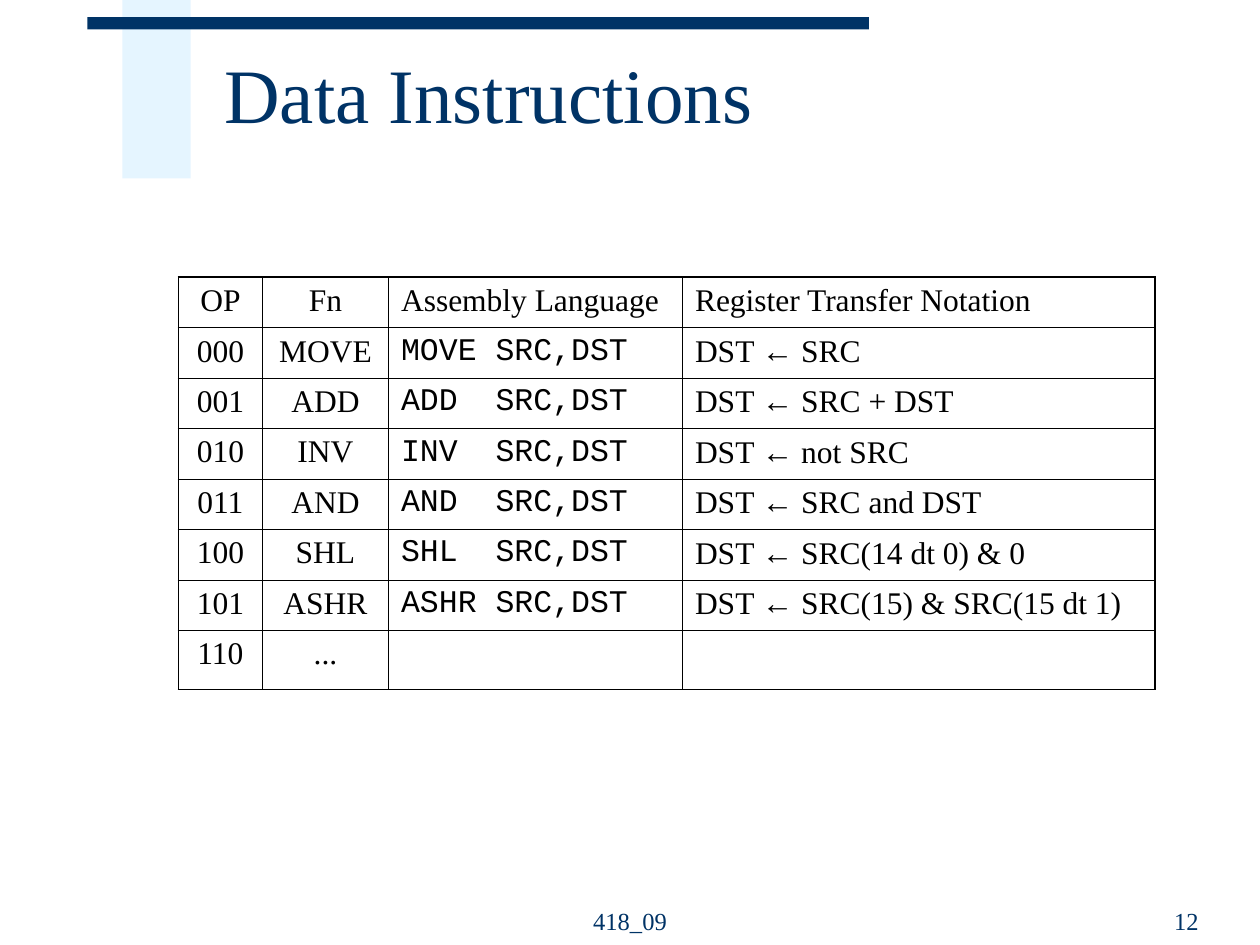
"""Build the Data Instructions slide with its table of opcodes."""
from lxml.etree import SubElement as Sub
from pptx import Presentation as Deck
from pptx.dml.color import RGBColor as RGB
from pptx.enum.shapes import MSO_SHAPE as Kind
from pptx.enum.text import MSO_ANCHOR as Anchor, MSO_AUTO_SIZE as Fit, PP_ALIGN as Align
from pptx.oxml.ns import qn
from pptx.util import Pt

HUES = {"navy": "003366", "sky": "CCECFF", "ink": "000000"}
SERIF, SANS, MONO = "Times New Roman", "Arial", "Courier New"
ARROW = "←"
HEAD = ("OP", "Fn", "Assembly Language", "Register Transfer Notation")
CODES = [
    ("000", "MOVE", "SRC"),
    ("001", "ADD", "SRC + DST"),
    ("010", "INV", "not SRC"),
    ("011", "AND", "SRC and DST"),
    ("100", "SHL", "SRC(14 dt 0) & 0"),
    ("101", "ASHR", "SRC(15) & SRC(15 dt 1)"),
]
WIDTHS = (48, 72, 168, 270)
ROW, LAST = 28.8, 33.7
THIN, THICK = 0.45, 1.08


class Page:
    """Hold the style and the slide being drawn."""

    def __init__(self, deck):
        self.slide = deck.slides.add_slide(deck.slide_layouts[5])
        self.shapes = self.slide.shapes

    def style(self, para, size, hue, align=Align.LEFT, face=SERIF):
        para.alignment = align
        for run in para.runs:
            font = run.font
            font.name = SANS if run.text == ARROW else face
            font.size = Pt(size)
            font.color.rgb = RGB.from_string(HUES[hue])

    def bar(self, hue, box, alpha=None):
        shape = self.shapes.add_shape(Kind.RECTANGLE, *map(Pt, box))
        shape.shadow.inherit = False
        shape.fill.solid()
        shape.fill.fore_color.rgb = RGB.from_string(HUES[hue])
        shape.line.fill.background()
        if alpha:
            tint = shape.fill._xPr.find(".//" + qn("a:srgbClr"))
            Sub(tint, qn("a:alpha"), val=str(alpha * 1000))

    def title(self, text, box):
        shape = self.shapes.title
        shape.left, shape.top, shape.width, shape.height = map(Pt, box)
        frame = shape.text_frame
        frame.text = text
        frame.auto_size = Fit.NONE
        frame.vertical_anchor = Anchor.MIDDLE
        para = frame.paragraphs[0]
        para.line_spacing = 0.85
        self.style(para, 44, "navy")
        self.shapes._spTree.append(shape._element)

    def note(self, text, box, align):
        frame = self.shapes.add_textbox(*map(Pt, box)).text_frame
        frame.word_wrap = True
        frame.vertical_anchor = Anchor.BOTTOM
        frame.text = text
        self.style(frame.paragraphs[0], 14, "navy", align)

    def edge(self, cell, sides):
        props = cell._tc.get_or_add_tcPr()
        for side, width in sides.items():
            line = Sub(props, qn("a:ln" + side), w=str(Pt(width)))
            fill = Sub(line, qn("a:solidFill"))
            Sub(fill, qn("a:srgbClr"), val=HUES["ink"])

    def cell(self, cell, text, align, face):
        para = cell.text_frame.paragraphs[0]
        left, mark, right = text.partition(ARROW)
        for part in filter(None, (left, mark, right)):
            para.add_run().text = part
        self.style(para, 18, "ink", align, face)

    def table(self, rows, left, top):
        tall = ROW * (len(rows) - 1) + LAST
        box = map(Pt, (left, top, sum(WIDTHS), tall))
        grid = self.shapes.add_table(len(rows), len(WIDTHS), *box).table
        grid.first_row = grid.horz_banding = False
        for col, width in zip(grid.columns, WIDTHS):
            col.width = Pt(width)
        for r, row in enumerate(rows):
            grid.rows[r].height = Pt(LAST if r == len(rows) - 1 else ROW)
            for c, text in enumerate(row):
                cell = grid.cell(r, c)
                self.edge(cell, {
                    "L": THIN if c else THICK,
                    "R": THICK if c == len(row) - 1 else THIN,
                    "T": THIN if r else THICK,
                    "B": THIN,
                })
                cell.fill.background()
                align = Align.CENTER if c < 2 else Align.LEFT
                self.cell(cell, text, align, MONO if r and c == 2 else SERIF)


def main():
    deck = Deck()
    deck.slide_width, deck.slide_height = Pt(720), Pt(540)
    page = Page(deck)
    page.bar("sky", (70, 0, 39, 102), 50)
    page.bar("navy", (50, 9.75, 446.5, 7))
    page.title("Data Instructions", (121, 12, 581, 90))
    page.note("418_09", (294, 502, 132, 36), Align.CENTER)
    page.note("12", (519, 502, 173, 36), Align.RIGHT)
    body = [(op, fn, f"{fn:<5}SRC,DST", f"DST {ARROW} {rule}") for op, fn, rule in CODES]
    page.table([HEAD, *body, ("110", "...", "", "")], 102, 158.4)
    deck.save("out.pptx")


if __name__ == "__main__":
    main()
